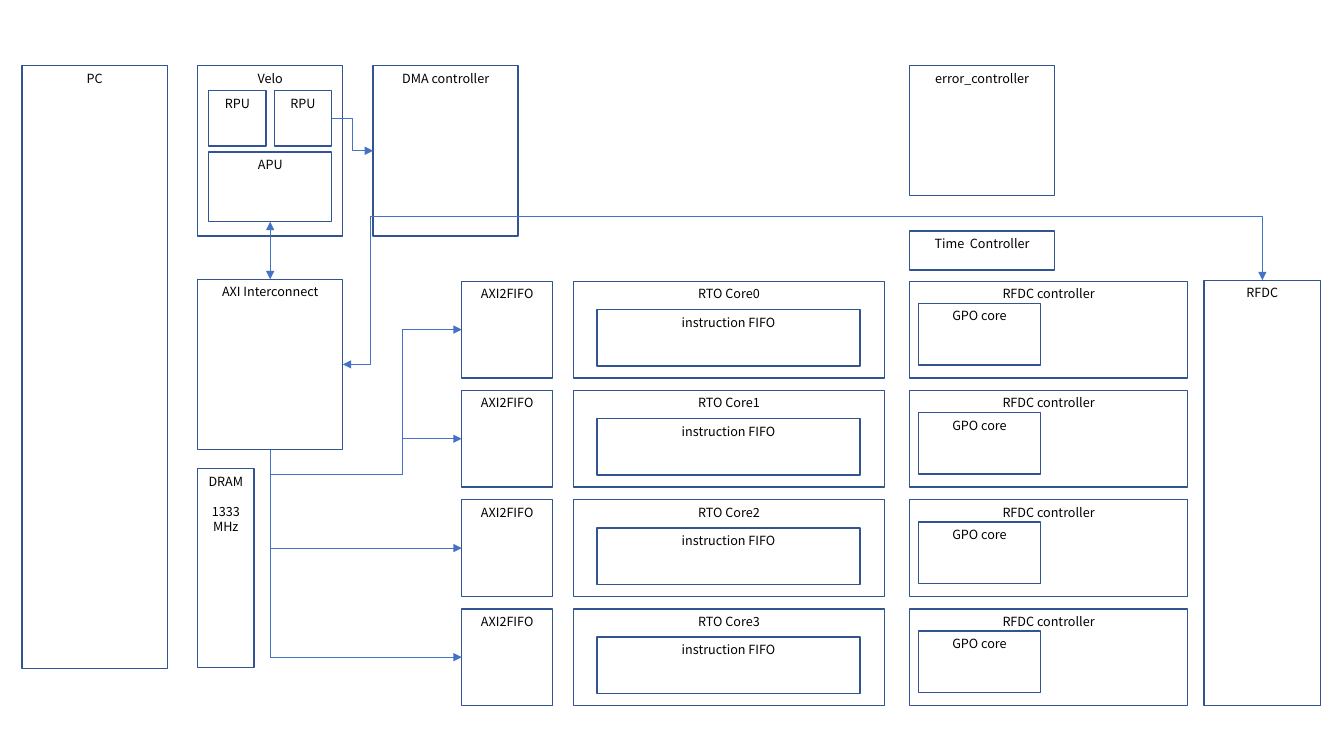
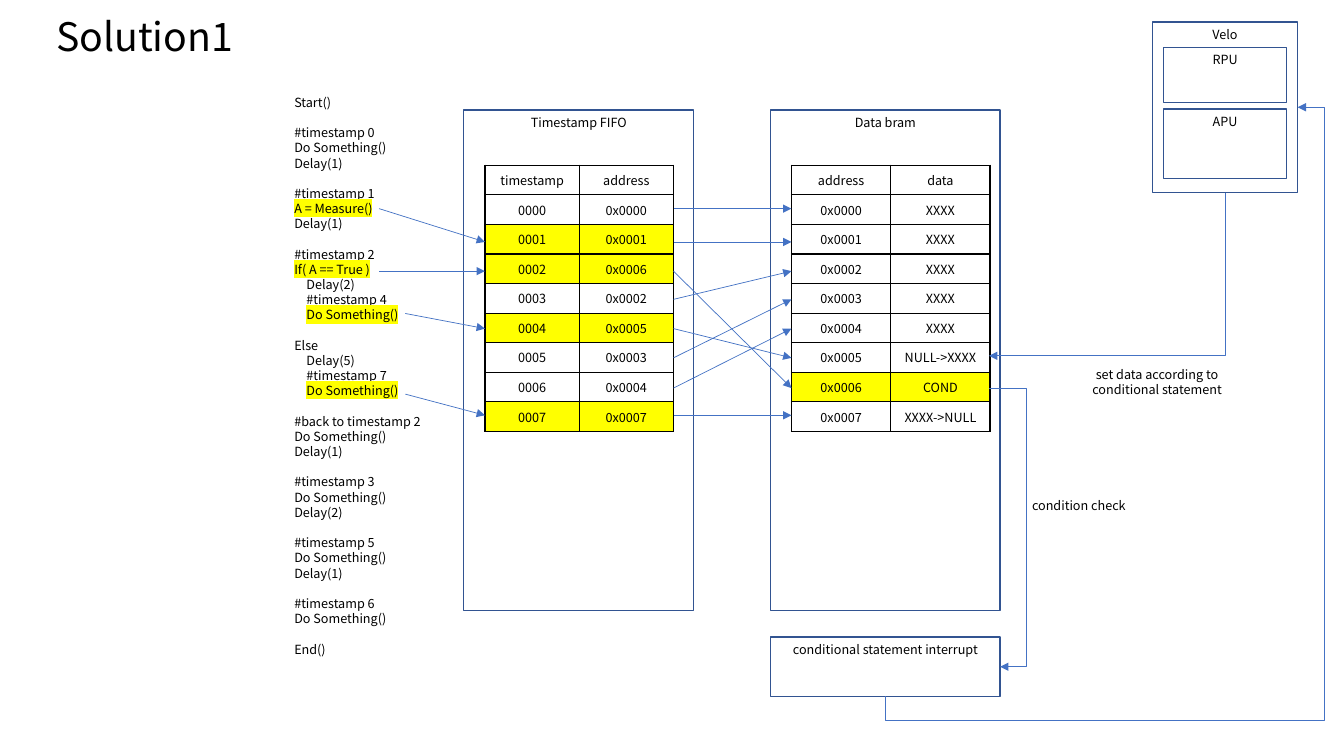
import pptx
import pptx.dml.color
import pptx.enum.shapes
import pptx.enum.text
import pptx.oxml
import pptx.oxml.ns
import pptx.util
from pptx.util import Inches

FONT = "Noto Sans CJK KR"
BLACK, EDGE, WIRE, MARK = "000000", "325491", "4472C4", "FFFF00"
GAP = 10.9  # points, one line of small text
TOP, LEFT, DOWN, RIGHT = range(4)  # connection sites of a rectangle

CODE = [
    ["Start()"],
    ["#timestamp 0", "Do Something()", "Delay(1)"],
    ["#timestamp 1", "A = Measure()", "Delay(1)"],
    ["#timestamp 2", "If( A == True )", "\tDelay(2)", "\t#timestamp 4",
     "\tDo Something()"],
    ["Else", "\tDelay(5)", "\t#timestamp 7", "\tDo Something()"],
    ["#back to timestamp 2", "Do Something()", "Delay(1)"],
    ["#timestamp 3", "Do Something()", "Delay(2)"],
    ["#timestamp 5", "Do Something()", "Delay(1)"],
    ["#timestamp 6", "Do Something()"],
    ["End()"],
]
CODE_HOT = {"A = Measure()", "If( A == True )", "\tDo Something()"}
ORDER = [0, 1, 6, 2, 5, 3, 4, 7]  # address held by each timestamp
STAMP_HOT = {1, 2, 4, 7}
DATA = ["XXXX"] * 5 + ["NULL->XXXX", "COND", "XXXX->NULL"]
ROWS = [2.07, 2.4, 2.69, 2.97, 3.26, 3.55, 3.85, 4.12]


def color(code):
    return pptx.dml.color.RGBColor.from_string(code)


def node(tag, **attrs):
    item = pptx.oxml.parse_xml(f"<{tag} {pptx.oxml.ns.nsdecls('a')}/>")
    for key, value in attrs.items():
        item.set(key, str(value))
    return item


def write(para, text, size=9, align="CENTER", before=0, indent=0, hot=False,
          space=None):
    para.alignment = getattr(pptx.enum.text.PP_ALIGN, align)
    para.space_before = pptx.util.Pt(before)
    para.line_spacing = space
    if indent:
        para._p.get_or_add_pPr().set("marL", str(Inches(indent)))
    run = para.add_run()
    run.text = text
    run.font.size = pptx.util.Pt(size)
    run.font.name = FONT
    run.font.color.rgb = color(BLACK)
    if hot:
        glow = node("a:highlight")
        glow.append(node("a:srgbClr", val=MARK))
        run.font._element.find(pptx.oxml.ns.qn("a:solidFill")).addnext(glow)


def box(slide, text, x, y, w, h):
    shape = slide.shapes.add_shape(
        pptx.enum.shapes.MSO_SHAPE.RECTANGLE, *map(Inches, (x, y, w, h)))
    shape.shadow.inherit = False
    shape.fill.background()
    shape.line.color.rgb = color(EDGE)
    shape.line.width = pptx.util.Pt(1)
    frame = shape.text_frame
    frame.word_wrap = True
    frame.vertical_anchor = pptx.enum.text.MSO_ANCHOR.TOP
    write(frame.paragraphs[0], text)
    return shape


def label(slide, x, y, w, h, anchor="MIDDLE"):
    """Add an empty text box and return its frame."""
    frame = slide.shapes.add_textbox(*map(Inches, (x, y, w, h))).text_frame
    frame.word_wrap = True
    frame.vertical_anchor = getattr(pptx.enum.text.MSO_ANCHOR, anchor)
    return frame


def spot(end):
    """Give the place of an end: a point in inches or (shape, site)."""
    if isinstance(end[0], (int, float)):
        return [Inches(end[0]), Inches(end[1])]
    shape, site = end
    dx, dy = [(1, 0), (0, 1), (1, 2), (2, 1)][site]
    return [shape.left + shape.width * dx // 2,
            shape.top + shape.height * dy // 2]


def link(slide, start, end, bends=None, both=False):
    """Draw an arrow; bends lists where an elbow turns, along each axis in turn."""
    a, b = spot(start), spot(end)
    kinds = pptx.enum.shapes.MSO_CONNECTOR
    kind = kinds.STRAIGHT if bends is None else kinds.ELBOW
    wire = slide.shapes.add_connector(kind, *a, *b)
    if not isinstance(start[0], (int, float)):
        wire.begin_connect(*start)
    if not isinstance(end[0], (int, float)):
        wire.end_connect(*end)
    if bends is not None:
        upright = start[1] in (TOP, DOWN)
        bend(wire, a, b, bends, upright)
    wire.line.color.rgb = color(WIRE)
    wire.line.width = pptx.util.Pt(0.5)
    line = wire.line._get_or_add_ln()
    if both:
        line.append(node("a:headEnd", type="triangle"))
    line.append(node("a:tailEnd", type="triangle"))
    wire._element.spPr.append(node("a:effectLst"))


def bend(wire, a, b, bends, upright):
    """Shape an elbow that leaves a upright or level and turns at bends."""
    dx, dy = b[0] - a[0], b[1] - a[1]
    wide, high = abs(dx), abs(dy)
    turn, flips = 0, (dx < 0, dy < 0)
    if upright:
        wide, high = high, wide
        back = dx > 0 and dy > 0
        turn = 270 if back else 90
        flips = (dy < 0) != back, (dx > 0) != back
    wire.left = (a[0] + b[0] - wide) // 2
    wire.top = (a[1] + b[1] - high) // 2
    wire.width, wire.height = wide, high
    props = wire._element.spPr
    frame = props.find(pptx.oxml.ns.qn("a:xfrm"))
    frame.set("rot", str(turn * 60000))
    for key, flip in zip(("flipH", "flipV"), flips):
        frame.set(key, str(int(flip)))
    geom = props.find(pptx.oxml.ns.qn("a:prstGeom"))
    geom.set("prst", f"bentConnector{len(bends) + 2}")
    guides = geom.find(pptx.oxml.ns.qn("a:avLst"))
    if guides is None:
        guides = node("a:avLst")
        geom.append(guides)
    for i, place in enumerate(bends):
        axis = (i + upright) % 2
        part = (Inches(place) - a[axis]) / (b[axis] - a[axis])
        guides.append(node("a:gd", name=f"adj{i + 1}",
                           fmla=f"val {round(part * 100000)}"))


def table(slide, x, y, w, h, rows, hot):
    """Add a two-column table; hot holds the numbers of the marked rows."""
    grid = slide.shapes.add_table(
        len(rows), 2, *map(Inches, (x, y, w, h))).table
    grid.first_row = grid.horz_banding = False
    for r, row in enumerate(rows):
        for c, text in enumerate(row):
            cell = grid.cell(r, c)
            cell.vertical_anchor = pptx.enum.text.MSO_ANCHOR.MIDDLE
            write(cell.text_frame.paragraphs[0], text)
            edges(cell)
            if r in hot:
                cell.fill.solid()
                cell.fill.fore_color.rgb = color(MARK)
            else:
                cell.fill.background()


def edges(cell):
    for side in "LRTB":
        line = node(f"a:ln{side}", w=pptx.util.Pt(1))
        fill = node("a:solidFill")
        fill.append(node("a:srgbClr", val=BLACK))
        line.append(fill)
        cell._tc.get_or_add_tcPr().append(line)


def chip(slide, x, y, count):
    """Draw the processor with count RPUs; return it, its last RPU and APU."""
    outer = box(slide, "Velo", x, y, 1.44, 1.69)
    apu = box(slide, "APU", x + 0.11, y + 0.86, 1.22, 0.69)
    step = 1.3 / count
    for i in range(count):
        rpu = box(slide, "RPU", x + 0.11 + i * step, y + 0.25,
                  step - 0.08, 0.55)
    return outer, rpu, apu


def system(slide):
    box(slide, "PC", 0.22, 0.65, 1.44, 5.98)
    dma = box(slide, "DMA controller", 3.7, 0.65, 1.44, 1.69)
    dram = box(slide, "DRAM", 1.96, 4.65, 0.56, 1.97)
    write(dram.text_frame.add_paragraph(), "1333MHz", before=GAP)
    rpu, apu = chip(slide, 1.96, 0.65, 2)[1:]
    axi = box(slide, "AXI Interconnect", 1.96, 2.77, 1.44, 1.69)
    box(slide, "error_controller", 9.02, 0.65, 1.44, 1.29)
    box(slide, "Time  Controller", 9.02, 2.29, 1.44, 0.39)
    rfdc = box(slide, "RFDC", 11.94, 2.78, 1.16, 4.22)
    link(slide, (rpu, RIGHT), (dma, LEFT), [3.49])
    link(slide, (apu, DOWN), (axi, TOP), both=True)
    link(slide, (axi, RIGHT), (rfdc, TOP), [3.67, 2.15], both=True)
    for i in range(4):
        y = 2.79 + i * 3.25 / 3
        fifo = box(slide, "AXI2FIFO", 4.58, y, 0.9, 0.96)
        box(slide, f"RTO Core{i}", 5.69, y, 3.08, 0.96)
        box(slide, "instruction FIFO", 5.92, y + 0.28, 2.61, 0.56)
        box(slide, "RFDC controller", 9.02, y, 2.76, 0.96)
        box(slide, "GPO core", 9.11, y + 0.22, 1.21, 0.61)
        link(slide, (axi, DOWN), (fifo, LEFT), [4.71, 3.99] if i < 2 else [])


def solution(slide):
    write(label(slide, 0.46, 0.16, 11.5, 0.52, "TOP").paragraphs[0],
          "Solution1", size=28, align="LEFT", before=10, space=0.8)
    box(slide, "Timestamp FIFO", 4.6, 1.09, 2.28, 4.97)
    box(slide, "Data bram", 7.64, 1.09, 2.28, 4.97)
    stamps = [(f"{i:04}", f"0x{goal:04}") for i, goal in enumerate(ORDER)]
    cells = [(f"0x{i:04}", data) for i, data in enumerate(DATA)]
    table(slide, 4.81, 1.64, 1.87, 2.64, [("timestamp", "address")] + stamps,
          {i + 1 for i in STAMP_HOT})
    table(slide, 7.85, 1.64, 1.97, 2.64, [("address", "data")] + cells,
          {DATA.index("COND") + 1})
    for y, goal in zip(ROWS, ORDER):
        link(slide, (6.68, y), (7.85, ROWS[goal]))

    frame = label(slide, 2.82, 0.89, 1.75, 5.8, "TOP")
    para = frame.paragraphs[0]
    for b, block in enumerate(CODE):
        for i, line in enumerate(block):
            if b or i:
                para = frame.add_paragraph()
            write(para, line.strip(), align="LEFT", hot=line in CODE_HOT,
                  before=GAP if b and not i else 0,
                  indent=0.12 if line.startswith("\t") else 0)
    for x, y, row in [(3.76, 2.07, 1), (3.76, 2.69, 2),
                      (4.02, 3.11, 4), (4.02, 3.91, 7)]:
        link(slide, (x, y), (4.81, ROWS[row]))

    outer = chip(slide, 11.43, 0.22, 1)[0]
    alert = box(slide, "conditional statement interrupt",
                7.64, 6.32, 2.28, 0.59)
    link(slide, (outer, DOWN), (9.81, 3.53), [])
    link(slide, (9.81, ROWS[6]), (alert, RIGHT), [10.18])
    link(slide, (alert, DOWN), (outer, RIGHT), [7.15, 13.13])
    write(label(slide, 10.57, 3.58, 1.81, 0.42).paragraphs[0],
          "set data according to conditional statement")
    write(label(slide, 10.07, 4.88, 1.26, 0.27).paragraphs[0],
          "condition check")


def main():
    deck = pptx.Presentation()
    deck.slide_width, deck.slide_height = Inches(13.33), Inches(7.5)
    for draw in (system, solution):
        draw(deck.slides.add_slide(deck.slide_layouts[6]))
    deck.save("out.pptx")


if __name__ == "__main__":
    main()
